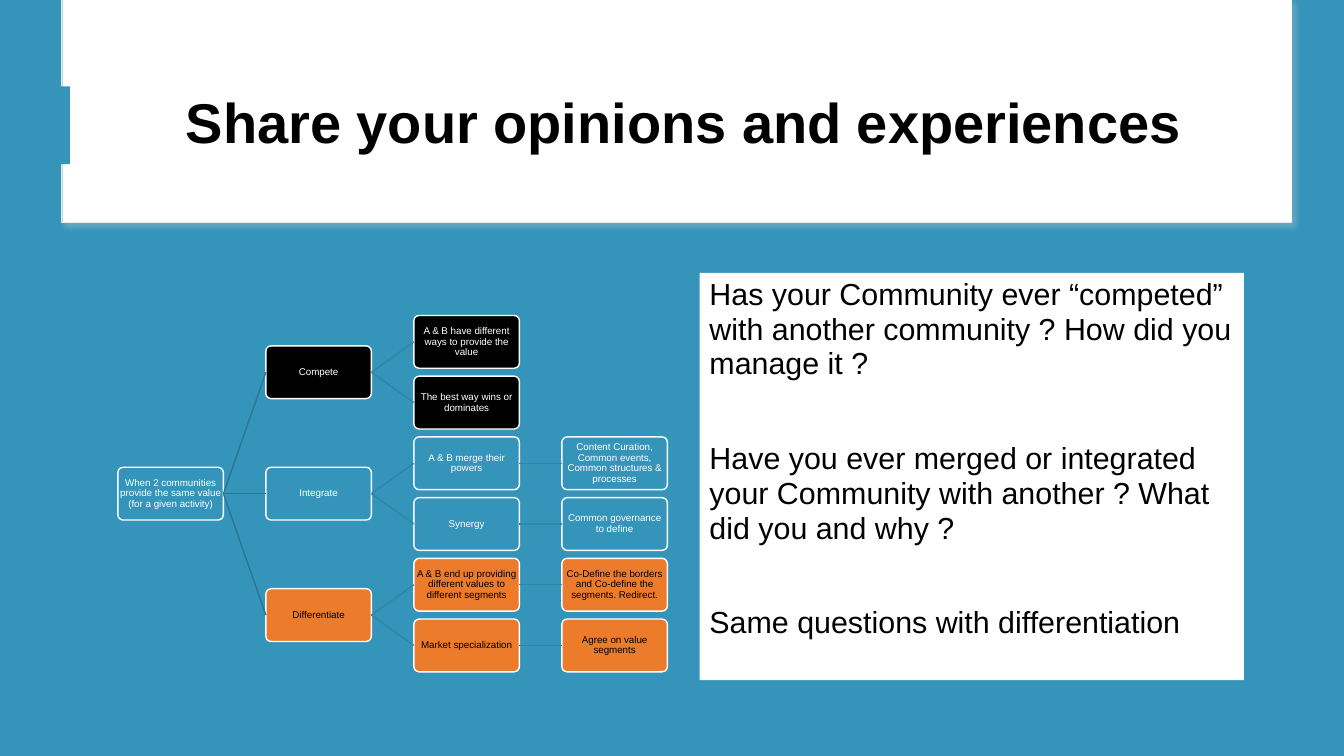
from lxml.etree import SubElement
from pptx import Presentation
from pptx.dml.color import RGBColor
from pptx.enum.shapes import MSO_CONNECTOR as CONNECTOR, MSO_SHAPE as SHAPE
from pptx.enum.text import MSO_ANCHOR as ANCHOR, PP_ALIGN as ALIGN
from pptx.oxml.ns import qn
from pptx.util import Cm, Pt

BLUE = RGBColor(0x34, 0x94, 0xBA)
WHITE = RGBColor(0xFF, 0xFF, 0xFF)
BLACK = RGBColor(0x00, 0x00, 0x00)
ORANGE = RGBColor(0xEC, 0x7B, 0x2B)
BANNER_EDGE = RGBColor(0xEA, 0xE9, 0xEE)
ROOT_LINK = RGBColor(0x2A, 0x77, 0x95)
BRANCH_LINK = RGBColor(0x2F, 0x86, 0xA9)
FONT = "Arial"

TITLE = "Share your opinions and experiences"
QUESTIONS = [
    "Has your Community ever “competed” with another community ? How did you manage it ?",
    "Have you ever merged or integrated your Community with another ? What did you and why ?",
    "Same questions with differentiation",
]
SITUATION = "When 2 communities provide the same value (for a given activity)"
STRATEGIES = [
    ("Compete", BLACK, WHITE, [
        ("A & B have different ways to provide the value", None),
        ("The best way wins or dominates", None),
    ]),
    ("Integrate", BLUE, WHITE, [
        ("A & B merge their powers",
         "Content Curation, Common events, Common structures & processes"),
        ("Synergy", "Common governance to define"),
    ]),
    ("Differentiate", ORANGE, BLACK, [
        ("A & B end up providing different values to different segments",
         "Co-Define the borders and Co-define the segments. Redirect."),
        ("Market specialization", "Agree on value segments"),
    ]),
]

TREE_LEFT, TREE_TOP = 2.97, 7.95
COLUMN_STEP, ROW_STEP = 3.73, 1.53
NODE_WIDTH, NODE_HEIGHT = 2.66, 1.33


def add_block(slide, kind, left, top, width, height, fill, edge=None, weight=1):
    """Add a filled shape, measured in centimetres, without a shadow."""
    block = slide.shapes.add_shape(kind, Cm(left), Cm(top), Cm(width), Cm(height))
    block.shadow.inherit = False
    block.fill.solid()
    block.fill.fore_color.rgb = fill
    if edge is None:
        block.line.fill.background()
    else:
        block.line.color.rgb = edge
        block.line.width = Pt(weight)
    return block


def style(paragraph, size, color, align, spacing):
    """Set the font, alignment and line spacing of a paragraph."""
    paragraph.alignment = align
    paragraph.line_spacing = spacing
    paragraph.font.name = FONT
    paragraph.font.size = Pt(size)
    paragraph.font.color.rgb = color


def add_node(slide, label, column, row, fill, color):
    """Add one box of the tree at a grid position."""
    node = add_block(slide, SHAPE.ROUNDED_RECTANGLE, TREE_LEFT + column * COLUMN_STEP,
                     TREE_TOP + row * ROW_STEP, NODE_WIDTH, NODE_HEIGHT, fill, WHITE)
    node.adjustments[0] = 0.1
    frame = node.text_frame
    frame.margin_left = frame.margin_right = frame.margin_top = frame.margin_bottom = 0
    frame.vertical_anchor = ANCHOR.MIDDLE
    frame.word_wrap = True
    frame.text = label
    style(frame.paragraphs[0], 7, color, ALIGN.CENTER, 0.9)
    return node


def link(slide, parent, child, color):
    """Join the right side of a parent to the left side of its child."""
    branch = slide.shapes.add_connector(CONNECTOR.STRAIGHT, 0, 0, 0, 0)
    branch.begin_connect(parent, 3)
    branch.end_connect(child, 1)
    branch.line.color.rgb = color
    branch.line.width = Pt(1)
    SubElement(branch.element.spPr, qn("a:effectLst"))


def add_banner(slide):
    """Add the white title banner with its soft shadow and side tab."""
    base = add_block(slide, SHAPE.RECTANGLE, 1.55, 0, 31.01, 5.61, BLUE, BANNER_EDGE, 0.75)
    effects = base.element.spPr.find(qn("a:effectLst"))
    shadow = SubElement(effects, qn("a:outerShdw"), blurRad=str(Pt(4)),
                        dist=str(Pt(3)), dir="2700000", rotWithShape="0")
    tint = SubElement(shadow, qn("a:srgbClr"), val="D9D9D9")
    SubElement(tint, qn("a:alpha"), val="30000")
    panel = add_block(slide, SHAPE.RECTANGLE, 1.57, 0, 30.99, 5.59, WHITE)
    tab = add_block(slide, SHAPE.RECTANGLE, 1.4, 2.18, 0.36, 1.96, BLUE)
    for part in (base, panel, tab):
        slide.shapes.title.element.addprevious(part.element)


def add_title(slide):
    """Fill and place the title."""
    title = slide.shapes.title
    title.left, title.top, title.width, title.height = Cm(3.1), Cm(1.52), Cm(28.24), Cm(3.28)
    title.text_frame.text = TITLE
    title.text_frame.vertical_anchor = ANCHOR.MIDDLE
    heading = title.text_frame.paragraphs[0]
    style(heading, 40, BLACK, ALIGN.CENTER, 0.9)
    heading.font.bold = True


def add_questions(slide):
    """Add the white panel of questions."""
    panel = add_block(slide, SHAPE.RECTANGLE, 17.63, 6.88, 13.72, 10.26, WHITE)
    frame = panel.text_frame
    frame.word_wrap = True
    frame.vertical_anchor = ANCHOR.TOP
    frame.text = "\n".join(QUESTIONS)
    for index, question in enumerate(frame.paragraphs):
        style(question, 21.7, BLACK, ALIGN.LEFT, 0.95)
        if index:
            question.space_before = Pt(43)


def add_tree(slide):
    """Add the tree of strategies, each parent centred on its children."""
    leaf_count = sum(len(outcomes) for *_, outcomes in STRATEGIES)
    root = add_node(slide, SITUATION, 0, (leaf_count - 1) / 2, BLUE, WHITE)
    row = 0
    for name, fill, color, outcomes in STRATEGIES:
        strategy = add_node(slide, name, 1, row + (len(outcomes) - 1) / 2, fill, color)
        link(slide, root, strategy, ROOT_LINK)
        for result, action in outcomes:
            outcome = add_node(slide, result, 2, row, fill, color)
            link(slide, strategy, outcome, BRANCH_LINK)
            if action:
                link(slide, outcome, add_node(slide, action, 3, row, fill, color), BRANCH_LINK)
            row += 1


def main():
    """Build and save the slide."""
    deck = Presentation()
    deck.slide_width, deck.slide_height = Cm(33.87), Cm(19.05)
    slide = deck.slides.add_slide(deck.slide_layouts[5])
    slide.background.fill.solid()
    slide.background.fill.fore_color.rgb = BLUE
    add_banner(slide)
    add_title(slide)
    add_questions(slide)
    add_tree(slide)
    deck.save("out.pptx")


if __name__ == "__main__":
    main()
